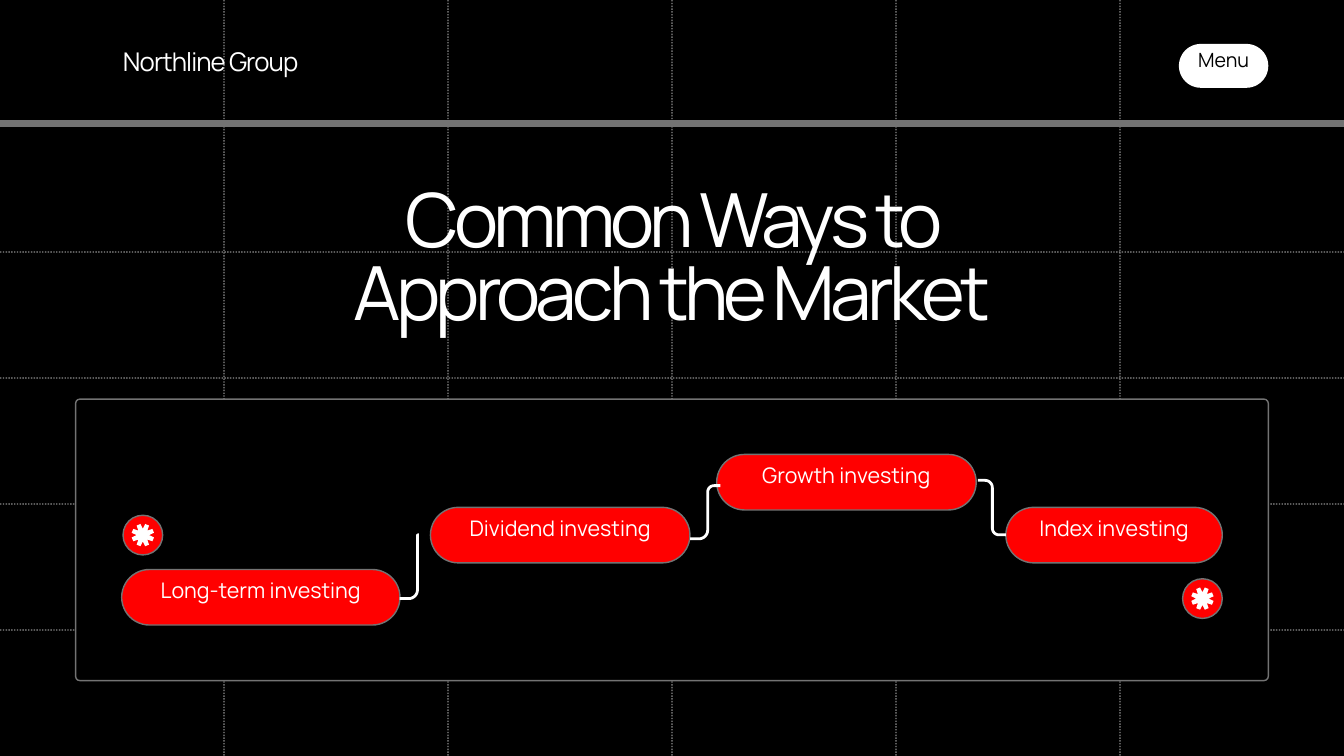
import math
from dataclasses import dataclass

import pptx
import pptx.dml.color
import pptx.enum.dml
import pptx.enum.shapes
import pptx.enum.text
import pptx.oxml
import pptx.oxml.ns
import pptx.util

Cm, Pt = pptx.util.Cm, pptx.util.Pt
ALIGN = pptx.enum.text.PP_ALIGN
ANCHOR = pptx.enum.text.MSO_ANCHOR
SHAPE = pptx.enum.shapes.MSO_SHAPE
UNITS = 1000  # freeform units per centimetre


@dataclass(frozen=True)
class Theme:
    font: str = "Manrope"
    black: str = "000000"
    white: str = "FFFFFF"
    grey: str = "737373"
    red: str = "FF0000"
    title: float = 80
    brand: float = 27.6
    label: float = 23
    menu: float = 21
    border: float = 1.5
    link: float = 3
    rule: float = 7.5


T = Theme()
W, H = 50.8, 28.58


def rgb(color):
    return pptx.dml.color.RGBColor.from_string(color)


def style(sp, fill=None, line=None, width=T.border):
    sp.shadow.inherit = False
    if fill:
        sp.fill.solid()
        sp.fill.fore_color.rgb = rgb(fill)
    else:
        sp.fill.background()
    if line:
        sp.line.color.rgb = rgb(line)
        sp.line.width = Pt(width)
    else:
        sp.line.fill.background()


def add_text(s, text, x, y, w, h, *, size, leading, color=T.white,
             align=ALIGN.CENTER, anchor=ANCHOR.TOP, inset=0, spacing=0):
    tf = s.shapes.add_textbox(Cm(x), Cm(y), Cm(w), Cm(h)).text_frame
    tf.word_wrap = True
    tf.vertical_anchor = anchor
    tf.margin_left = tf.margin_right = Cm(inset)
    tf.margin_top = tf.margin_bottom = Cm(inset)
    p = tf.paragraphs[0]
    p.alignment = align
    p.line_spacing = Pt(leading)
    r = p.add_run()
    r.text = text
    r.font.name = T.font
    r.font.size = Pt(size)
    r.font.color.rgb = rgb(color)
    if spacing:
        r.font._element.set("spc", str(round(spacing * 100)))


def add_line(s, x1, y1, x2, y2, color, width, dash=None, opacity=None):
    ln = s.shapes.add_connector(pptx.enum.shapes.MSO_CONNECTOR.STRAIGHT,
                                Cm(x1), Cm(y1), Cm(x2), Cm(y2))
    ln.line.color.rgb = rgb(color)
    ln.line.width = Pt(width)
    if dash:
        ln.line.dash_style = dash
    qn = pptx.oxml.ns.qn
    sp_pr = ln._element.spPr
    if opacity:
        clr = sp_pr.find(".//" + qn("a:srgbClr"))
        clr.append(clr.makeelement(qn("a:alpha"), {"val": str(opacity * 1000)}))
    sp_pr.append(sp_pr.makeelement(qn("a:effectLst"), {}))


def add_round_rect(s, x, y, w, h, radius, fill, line=None):
    sp = s.shapes.add_shape(SHAPE.ROUNDED_RECTANGLE, Cm(x), Cm(y), Cm(w), Cm(h))
    sp.adjustments[0] = radius / min(w, h)
    style(sp, fill, line)


def add_pill(s, text, x, y, w, h, *, lift, fill, line=None, **fmt):
    """Fully rounded button; its text box starts `lift` above the shape."""
    add_round_rect(s, x, y, w, h, h / 2, fill, line)
    add_text(s, text, x, y - lift, w, h + lift,
             anchor=ANCHOR.MIDDLE, inset=0.14, **fmt)


def add_path(s, points, close):
    pts = [(round(x * UNITS), round(y * UNITS)) for x, y in points]
    fb = s.shapes.build_freeform(*pts[0], scale=Cm(1) / UNITS)
    fb.add_line_segments(pts[1:], close=close)
    return fb.convert_to_shape()


def corner(x, y, r, d_in, d_out, steps=8):
    """Points of a quarter arc that rounds the corner at (x, y)."""
    for i in range(steps + 1):
        t = math.pi / 2 * i / steps
        a, b = r * (1 - math.sin(t)), r * (1 - math.cos(t))
        yield x - a * d_in[0] + b * d_out[0], y - a * d_in[1] + b * d_out[1]


def add_link(s, start, mid_x, end, r1, r2):
    """Elbow line with two rounded corners."""
    (x1, y1), (x2, y2) = start, end
    d1 = (math.copysign(1, mid_x - x1), 0)
    up = (0, math.copysign(1, y2 - y1))
    d2 = (math.copysign(1, x2 - mid_x), 0)
    points = [start, *corner(mid_x, y1, r1, d1, up),
              *corner(mid_x, y2, r2, up, d2), end]
    style(add_path(s, points, close=False), line=T.white, width=T.link)


def add_badge(s, cx, cy, r=0.75, outer=0.43, inner=0.24):
    """Red disc with an eight-armed asterisk."""
    sp = s.shapes.add_shape(SHAPE.OVAL, Cm(cx - r), Cm(cy - r), Cm(2 * r), Cm(2 * r))
    style(sp, T.red, T.grey)
    points = []
    for arm in range(8):
        for angle, radius in ((0, inner), (12, outer), (33, outer)):
            t = math.radians(45 * arm + angle)
            points.append((cx + radius * math.cos(t), cy + radius * math.sin(t)))
    style(add_path(s, points, close=True), T.white)


def add_grid(s, n=6):
    fmt = dict(color=T.white, width=T.border, opacity=55,
               dash=pptx.enum.dml.MSO_LINE.ROUND_DOT)
    for i in range(1, n):
        add_line(s, W * i / n, 0, W * i / n, H, **fmt)
        add_line(s, 0, H * i / n, W, H * i / n, **fmt)


def main():
    prs = pptx.Presentation()
    prs.slide_width, prs.slide_height = Cm(W), Cm(H)
    s = prs.slides.add_slide(prs.slide_layouts[6])
    s.background.fill.solid()
    s.background.fill.fore_color.rgb = rgb(T.black)

    # Grid and header
    add_grid(s)
    add_line(s, 0, 4.68, W, 4.68, T.grey, T.rule)
    add_pill(s, "Menu", 44.56, 1.66, 3.38, 1.66, lift=0.6, fill=T.white,
             size=T.menu, leading=29.4, color=T.black)

    # Panel with the four approaches
    add_round_rect(s, 2.86, 15.09, 45.08, 10.64, 0.16, T.black, T.grey)
    for text, x, y, w in (("Long-term investing", 4.6, 21.53, 10.52),
                          ("Dividend investing", 16.27, 19.18, 9.81),
                          ("Growth investing", 27.09, 17.18, 9.81),
                          ("Index investing", 38.02, 19.18, 8.18)):
        add_pill(s, text, x, y, w, 2.1, lift=0.72, fill=T.red, line=T.grey,
                 size=T.label, leading=32.2)

    # Title and brand
    add_text(s, "Common Ways to Approach the Market", 10.3, 7.16, 30.2, 5.9,
             size=T.title, leading=78.4, spacing=-5.1)
    add_text(s, "Northline Group", 4.65, 1.55, 8.84, 1.4, size=T.brand,
             leading=38.6, spacing=-1, align=ALIGN.LEFT)

    # Links between the approaches
    add_link(s, (15.11, 22.63), 15.78, (15.83, 20.22), 0.33, 0.03)
    add_link(s, (26.09, 20.37), 26.75, (27.23, 18.36), 0.33, 0.24)
    add_link(s, (38.02, 20.22), 37.51, (36.96, 18.16), 0.25, 0.28)

    # Badges
    add_badge(s, 5.4, 20.23)
    add_badge(s, 45.45, 22.63)

    prs.save("out.pptx")


if __name__ == "__main__":
    main()
